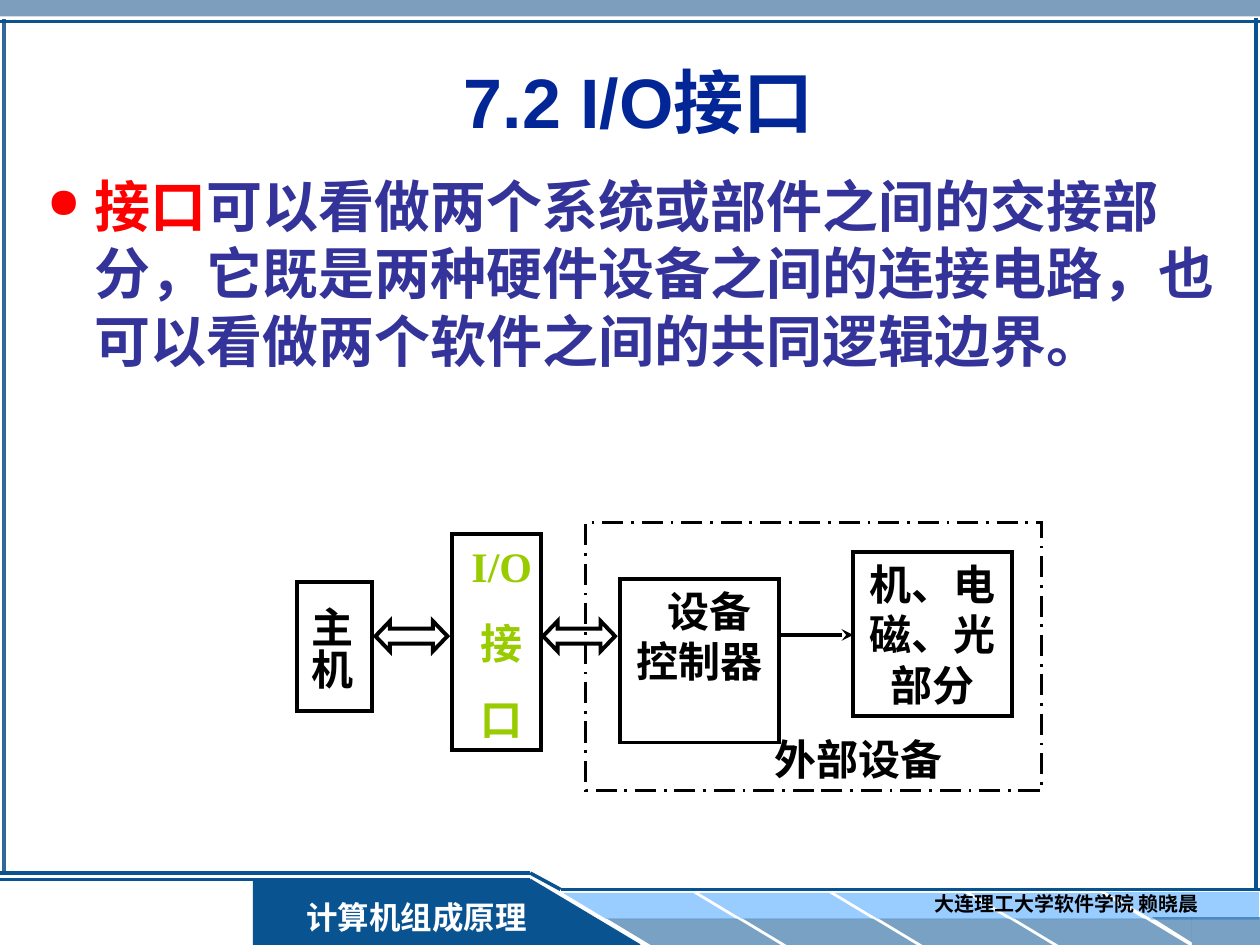
from lxml.etree import SubElement
from pptx import Presentation
from pptx.dml.color import RGBColor
from pptx.enum.dml import MSO_LINE
from pptx.enum.shapes import MSO_CONNECTOR, MSO_SHAPE
from pptx.enum.text import MSO_ANCHOR, PP_ALIGN
from pptx.oxml.ns import qn
from pptx.util import Cm, Pt

COLORS = {
    "navy": "095391", "steel": "336699", "sky": "99CCFF", "white": "FFFFFF",
    "black": "000000", "title": "032697", "body": "333399", "red": "FF0000",
    "green": "99CC00",
}
INSETS = (0.25, 0.13, 0.25, 0.13)
SERIF = "Times New Roman"


def rgb(name):
    return RGBColor.from_string(COLORS[name])


def add_figure(slide, kind, box, fill=None, alpha=None, line=None, width=2.25,
               flip="", adjustments=()):
    shape = slide.shapes.add_shape(kind, *map(Cm, box))
    shape.shadow.inherit = False
    for index, value in enumerate(adjustments):
        shape.adjustments[index] = value
    if fill:
        shape.fill.solid()
        shape.fill.fore_color.rgb = rgb(fill)
        if alpha:
            color = shape.fill._xPr.find(qn("a:solidFill"))[0]
            SubElement(color, qn("a:alpha")).set("val", str(alpha * 1000))
    else:
        shape.fill.background()
    if line:
        shape.line.color.rgb = rgb(line)
        shape.line.width = Pt(width)
        SubElement(shape.line._get_or_add_ln(), qn("a:miter")).set("lim", "800000")
    else:
        shape.line.fill.background()
    for axis in flip:
        shape._element.spPr.find(qn("a:xfrm")).set("flip" + axis, "1")
    return shape


def add_line(slide, start, end, width=2, color="navy", arrow=None):
    connector = slide.shapes.add_connector(
        MSO_CONNECTOR.STRAIGHT, *map(Cm, start + end))
    connector.line.color.rgb = rgb(color)
    connector.line.width = Pt(width)
    if arrow:
        SubElement(connector.line._get_or_add_ln(), qn("a:tailEnd")).set("type", arrow)
    SubElement(connector._element.spPr, qn("a:effectLst"))


def write(shape, paragraphs, size, color="black", font=SERIF, insets=INSETS,
          before=0, align=PP_ALIGN.CENTER, anchor=MSO_ANCHOR.TOP):
    """Each paragraph is a list of (text, color) runs or one plain string."""
    frame = shape.text_frame
    frame.word_wrap = True
    frame.vertical_anchor = anchor
    (frame.margin_left, frame.margin_top,
     frame.margin_right, frame.margin_bottom) = map(Cm, insets)
    for index, content in enumerate(paragraphs):
        paragraph = frame.add_paragraph() if index else frame.paragraphs[0]
        paragraph.alignment = align
        if index and before:
            paragraph.space_before = Pt(before)
        runs = [(content, color)] if isinstance(content, str) else content
        for text, run_color in runs:
            run = paragraph.add_run()
            run.text = text
            run.font.name = font
            run.font.size = Pt(size)
            run.font.bold = True
            run.font.color.rgb = rgb(run_color)
    return frame


def add_text(slide, box, paragraphs, size, **style):
    return write(slide.shapes.add_textbox(*map(Cm, box)), paragraphs, size, **style)


def add_block(slide, box, paragraphs, **style):
    shape = add_figure(slide, MSO_SHAPE.RECTANGLE, box, line="black")
    return write(shape, paragraphs, 24, **style)


def add_bullet(paragraph, indent):
    properties = paragraph._p.get_or_add_pPr()
    properties.set("marL", str(Cm(indent)))
    properties.set("indent", str(-Cm(indent)))
    properties.set("hangingPunct", "0")
    color = SubElement(properties, qn("a:buClr"))
    SubElement(color, qn("a:srgbClr")).set("val", COLORS["red"])
    SubElement(properties, qn("a:buSzPct")).set("val", "75000")
    SubElement(properties, qn("a:buChar")).set("char", "●")


def draw_frame(slide):
    # Top band and left border
    add_figure(slide, MSO_SHAPE.RECTANGLE, (0, 0, 25.4, 0.33), "steel", 63)
    add_line(slide, (0.08, 0.38), (0.08, 17.6), color="steel")

    # Footer tab and its outline
    add_figure(slide, MSO_SHAPE.RECTANGLE, (5.1, 17.73, 5.59, 1.32), "navy")
    add_line(slide, (12.9, 19.05), (10.69, 17.73), 1)
    add_line(slide, (10.69, 17.73), (0, 17.73), 1.5)
    add_line(slide, (0, 17.6), (10.69, 17.6))

    # Slanted footer tiles in two rows
    rows = ((11.35, 18, "sky", None), (12.24, 18.52, "navy", 54))
    for column in range(4):
        for left, top, color, alpha in rows:
            add_figure(slide, MSO_SHAPE.PARALLELOGRAM,
                       (left + 2.74 * column, top, 3.5, 0.53), color, alpha,
                       flip="H", adjustments=[1.66])

    # Right end of the footer
    add_figure(slide, MSO_SHAPE.RECTANGLE, (23.19, 17.98, 2.19, 0.56), "sky")
    add_figure(slide, MSO_SHAPE.RIGHT_TRIANGLE, (22.28, 17.98, 0.96, 0.56), "sky", flip="HV")
    add_figure(slide, MSO_SHAPE.RECTANGLE, (24.03, 18.49, 1.37, 0.56), "navy", 54)
    add_figure(slide, MSO_SHAPE.RIGHT_TRIANGLE, (23.22, 18.49, 0.81, 0.51), "navy", 54, flip="HV")
    add_line(slide, (11.3, 17.93), (25.4, 17.93))

    # Course name on the tab
    course = add_figure(slide, MSO_SHAPE.RECTANGLE, (5.79, 17.98, 5.21, 1.02), "navy")
    write(course, ["计算机组成原理"], 18, color="white")
    add_figure(slide, MSO_SHAPE.RIGHT_TRIANGLE, (10.67, 17.73, 2.21, 1.32), "navy")
    add_line(slide, (10.69, 17.6), (11.3, 17.93))

    # Top and right borders
    add_line(slide, (0, 0.43), (25.4, 0.43))
    add_line(slide, (25.32, 0.36), (25.32, 17.96))

    author = add_text(slide, (17.9, 17.93, 7.21, 0.79), ["大连理工大学软件学院 赖晓晨"], 11.4)
    author.paragraphs[0].line_spacing = 0.8


def draw_text(slide):
    add_text(slide, (0.85, 1.12, 24.05, 1.8), ["7.2 I/O接口"], 40, color="title",
             font="Arial", anchor=MSO_ANCHOR.MIDDLE)
    definition = [
        ("接口", "red"),
        ("可以看做两个系统或部件之间的交接部分，它既是两种硬件设备之间的连接电路，"
         "也可以看做两个软件之间的共同逻辑边界。", "body"),
    ]
    body = add_text(slide, (0.7, 3.33, 24.21, 13.59), [definition], 32,
                    font="Arial", align=PP_ALIGN.LEFT)
    add_bullet(body.paragraphs[0], 0.95)


def draw_diagram(slide):
    # Host, controller, device parts and interface
    host = add_block(slide, (5.99, 11.73, 1.52, 2.6), ["主机"],
                     insets=(0.13, 0.5, 0.33, 0.1))
    host._txBody.bodyPr.set("vert", "eaVert")
    controller = add_block(slide, (12.5, 11.67, 3.2, 3.3), ["设备", "控制器"])
    controller.paragraphs[0]._p.get_or_add_pPr().set("marL", str(Cm(0.42)))
    add_block(slide, (17.2, 11.13, 3.2, 3.3), ["机、电", "磁、光", "部分"])
    add_block(slide, (9.11, 10.77, 1.8, 4.36), ["I/O", "接", "口"], color="green",
              before=15, insets=(0.36, 0.13, 0.15, 0.13))

    # External device boundary
    boundary = add_figure(slide, MSO_SHAPE.RECTANGLE, (11.81, 10.53, 9.19, 5.41),
                          line="black", width=1.5)
    boundary.line.dash_style = MSO_LINE.LONG_DASH_DOT
    add_text(slide, (14.41, 14.66, 5.79, 1.27), ["外部设备"], 24)

    # Links
    add_line(slide, (15.7, 12.8), (17.2, 12.8), 2.25, "black", arrow="stealth")
    for left in (10.95, 7.57):
        add_figure(slide, MSO_SHAPE.LEFT_RIGHT_ARROW, (left, 12.52, 1.45, 0.61),
                   line="black", adjustments=(0.5, 0.48))


def main():
    presentation = Presentation()
    presentation.slide_width = Cm(25.4)
    presentation.slide_height = Cm(19.05)
    slide = presentation.slides.add_slide(presentation.slide_layouts[6])
    draw_frame(slide)
    draw_text(slide)
    draw_diagram(slide)
    presentation.save("out.pptx")


if __name__ == "__main__":
    main()
